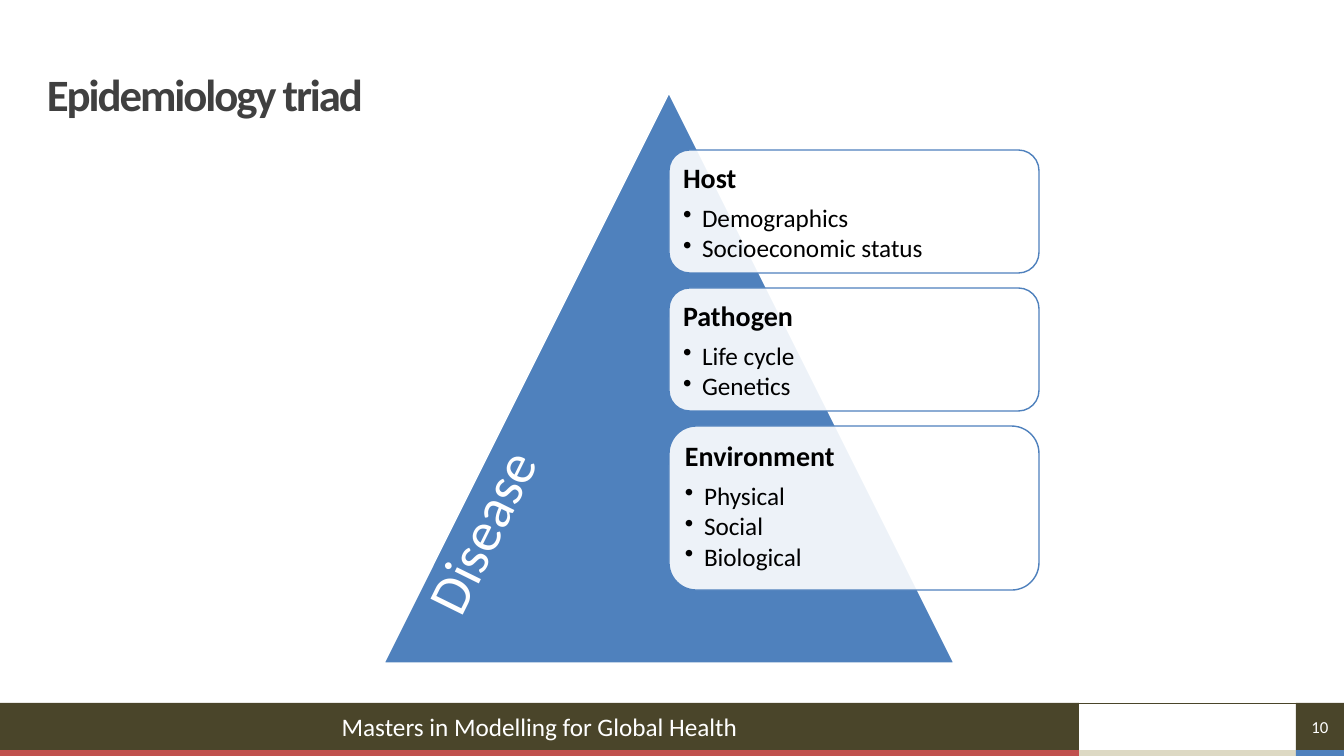
from pptx import Presentation
from pptx.dml.color import RGBColor
from pptx.enum.shapes import MSO_CONNECTOR, MSO_SHAPE as Preset
from pptx.enum.text import MSO_ANCHOR as Anchor, PP_ALIGN as Align
from pptx.oxml.ns import qn
from pptx.util import Pt
from lxml.etree import SubElement

PX = 12700 * 72 / 100.8
COLORS = {"blue": "4F81BD", "olive": "4A452A", "red": "C0504D", "sand": "DDD9C3",
          "white": "FFFFFF", "black": "000000", "title": "404040"}


def add_block(preset, box, fill, line=None):
    """Add a preset shape at a px box, with middle-anchored text and no shadow."""
    shape = slide.shapes.add_shape(preset, *[round(v * PX) for v in box])
    shape.shadow.inherit = False
    shape.fill.solid()
    shape.fill.fore_color.rgb = RGBColor.from_string(COLORS[fill])
    if line:
        shape.line.color.rgb = RGBColor.from_string(COLORS[line])
        shape.line.width = Pt(1)
    else:
        shape.line.fill.background()
    shape.text_frame.vertical_anchor = Anchor.MIDDLE
    return shape


def style(paragraph, size, color, bold=False):
    for run in paragraph.runs:
        run.font.name = "Calibri"
        run.font.size = Pt(size)
        run.font.bold = bold
        run.font.color.rgb = RGBColor.from_string(COLORS[color])


presentation = Presentation()
presentation.slide_width = round(1344 * PX)
presentation.slide_height = round(756 * PX)
slide = presentation.slides.add_slide(presentation.slide_layouts[5])

# Footer bands
add_block(Preset.RECTANGLE, (1079, 750, 217, 6), "sand")
footer = add_block(Preset.RECTANGLE, (0, 703, 1079, 47), "olive")
add_block(Preset.RECTANGLE, (0, 750, 1079, 6), "red")
add_block(Preset.RECTANGLE, (1296, 750, 48, 6), "blue")
page_number = add_block(Preset.RECTANGLE, (1296, 703, 48, 47), "olive")
for shape, text, size in ((footer, "Masters in Modelling for Global Health", 18),
                          (page_number, "10", 12)):
    shape.text_frame.text = text
    paragraph = shape.text_frame.paragraphs[0]
    paragraph.alignment = Align.CENTER
    style(paragraph, size, "white")
page_number.text_frame.margin_left = page_number.text_frame.margin_right = 0

footer_line = slide.shapes.add_connector(
    MSO_CONNECTOR.STRAIGHT, round(1344 * PX), round(703 * PX), 0, round(703 * PX))
footer_line.line.color.rgb = RGBColor.from_string(COLORS["olive"])
footer_line.line.width = Pt(0.5)
SubElement(footer_line._element.spPr, qn("a:effectLst"))

# Title
title = slide.shapes.title
title.left, title.top, title.width, title.height = [
    round(v * PX) for v in (47, 50, 1249, 94)]
frame = title.text_frame
frame.text = "Epidemiology triad"
frame.vertical_anchor = Anchor.MIDDLE
frame.margin_left = frame.margin_right = frame.margin_top = frame.margin_bottom = 0
paragraph = frame.paragraphs[0]
paragraph.alignment = Align.LEFT
paragraph.line_spacing = 0.9
style(paragraph, 32, "title", bold=True)
paragraph.runs[0].font._element.set("spc", "-150")

# Disease triangle
add_block(Preset.ISOSCELES_TRIANGLE, (384, 93, 570, 570), "blue", "white")

# Triad panels: heading, bullets, height
PANELS = [
    ("Host", ["Demographics", "Socioeconomic status"], 123),
    ("Pathogen", ["Life cycle", "Genetics"], 123),
    ("Environment", ["Physical", "Social", "Biological"], 164),
]
for index, (heading, items, height) in enumerate(PANELS):
    panel = add_block(Preset.ROUNDED_RECTANGLE,
                      (669, 150 + 138 * index, 370, height), "white", "blue")
    fill_color = panel._element.spPr.find(qn("a:solidFill"))[0]
    SubElement(fill_color, qn("a:alpha"), val="90000")

    frame = panel.text_frame
    frame.vertical_anchor = Anchor.TOP
    frame.margin_left = frame.margin_right = round(8 * PX)
    frame.margin_top = frame.margin_bottom = round(8 * PX)
    frame.text = "\n".join([heading] + items)
    for number, paragraph in enumerate(frame.paragraphs):
        is_heading = number == 0
        paragraph.alignment = Align.LEFT
        paragraph.line_spacing = 0.9
        paragraph.space_after = Pt(8 if is_heading else 2.5)
        if not is_heading:
            properties = paragraph._p.get_or_add_pPr()
            properties.set("marL", str(round(19 * PX)))
            properties.set("indent", str(round(-19 * PX)))
            SubElement(properties, qn("a:buChar"), char="•")
        style(paragraph, 20 if is_heading else 18, "black", bold=is_heading)

# Label along the triangle's left side
label = slide.shapes.add_textbox(*[round(v * PX) for v in (359, 452, 283, 78)])
label.rotation = 296.3
label.text_frame.word_wrap = True
label.text_frame.text = "Disease"
style(label.text_frame.paragraphs[0], 40, "white")

presentation.save("out.pptx")
